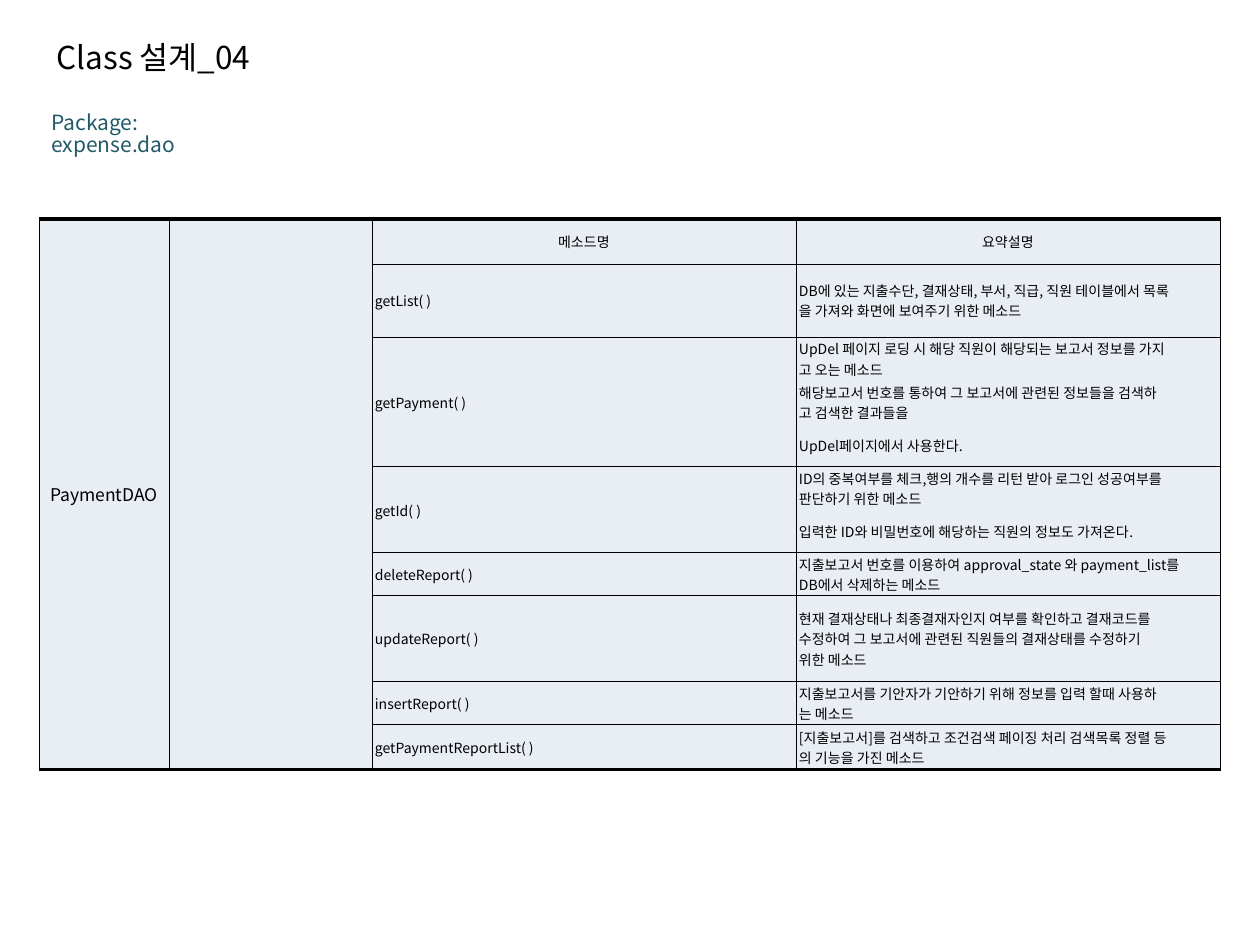
from lxml.etree import SubElement
from pptx import Presentation
from pptx.dml.color import RGBColor
from pptx.enum.text import MSO_ANCHOR, MSO_AUTO_SIZE, PP_ALIGN
from pptx.oxml.ns import qn
from pptx.util import Pt

PX = 914400 // 126
FONT = "Noto Sans CJK KR"
BLACK = RGBColor(0x00, 0x00, 0x00)
TEAL = RGBColor(0x21, 0x59, 0x68)
PALE = RGBColor(0xE9, 0xED, 0xF4)
THIN, THICK = 0.5, 2

HEADING = "Class 설계_04"
PACKAGE = "Package: expense.dao"
CLASS_NAME = "PaymentDAO"
COLUMN_WIDTHS = [130, 203, 424, 424]
METHODS = [
    ("메소드명", [(45, ["요약설명"])]),
    ("getList( )", [
        (73, ["DB에 있는 지출수단, 결재상태, 부서, 직급, 직원 테이블에서 목록",
              "을 가져와 화면에 보여주기 위한 메소드"])]),
    ("getPayment( )", [
        (44, ["UpDel 페이지 로딩 시 해당 직원이 해당되는 보고서 정보를 가지",
              "고 오는 메소드"]),
        (43, ["해당보고서 번호를 통하여 그 보고서에 관련된 정보들을 검색하",
              "고 검색한 결과들을"]),
        (43, ["UpDel페이지에서 사용한다."])]),
    ("getId( )", [
        (43, ["ID의 중복여부를 체크,행의 개수를 리턴 받아 로그인 성공여부를",
              "판단하기 위한 메소드"]),
        (43, ["입력한 ID와 비밀번호에 해당하는 직원의 정보도 가져온다."])]),
    ("deleteReport( )", [
        (43, ["지출보고서 번호를 이용하여 approval_state 와 payment_list를",
              "DB에서 삭제하는 메소드"])]),
    ("updateReport( )", [
        (86, ["현재 결재상태나 최종결재자인지 여부를 확인하고 결재코드를",
              "수정하여 그 보고서에 관련된 직원들의 결재상태를 수정하기",
              "위한 메소드"])]),
    ("insertReport( )", [
        (43, ["지출보고서를 기안자가 기안하기 위해 정보를 입력 할때 사용하",
              "는 메소드"])]),
    ("getPaymentReportList( )", [
        (45, ["[지출보고서]를 검색하고 조건검색 페이징 처리 검색목록 정렬 등",
              "의 기능을 가진 메소드"])]),
]


def write(frame, lines, size, color=BLACK, align=PP_ALIGN.LEFT, spacing=1.0):
    frame.word_wrap = True
    for index, line in enumerate(lines):
        paragraph = frame.paragraphs[0] if index == 0 else frame.add_paragraph()
        paragraph.alignment = align
        paragraph.line_spacing = spacing
        run = paragraph.add_run()
        run.text = line
        run.font.size = Pt(size)
        run.font.name = FONT
        run.font.color.rgb = color
        SubElement(run.font._element, qn("a:ea"), typeface=FONT)


def place(shape, left, top, width, height):
    shape.left, shape.top = left * PX, top * PX
    shape.width, shape.height = width * PX, height * PX
    shape.text_frame.vertical_anchor = MSO_ANCHOR.TOP
    shape.text_frame.auto_size = MSO_AUTO_SIZE.SHAPE_TO_FIT_TEXT


def style_cell(cell, top, bottom, indent):
    cell.margin_left = indent * PX
    cell.margin_right = cell.margin_top = cell.margin_bottom = 0
    cell.vertical_anchor = MSO_ANCHOR.MIDDLE
    properties = cell._tc.get_or_add_tcPr()
    for side, width in (("L", THIN), ("R", THIN), ("T", top), ("B", bottom)):
        edge = SubElement(properties, qn(f"a:ln{side}"), w=str(Pt(width)))
        if width:
            fill = SubElement(edge, qn("a:solidFill"))
            SubElement(fill, qn("a:srgbClr"), val=str(BLACK))
        else:
            SubElement(edge, qn("a:noFill"))
    cell.fill.solid()
    cell.fill.fore_color.rgb = PALE


def style_group(table, column, first, last, indent=0, merged=True):
    final = len(table.rows) - 1
    upper = THICK if first == 0 else THIN
    lower = THICK if last == final else THIN
    for row in range(first, last + 1):
        closes = row == last or (merged and row == first)
        style_cell(table.cell(row, column), upper if row == first else 0,
                   lower if closes else 0, indent)
    if merged and last > first:
        table.cell(first, column).merge(table.cell(last, column))


def build_table(slide):
    heights = [height for _, parts in METHODS for height, _ in parts]
    table = slide.shapes.add_table(
        len(heights), len(COLUMN_WIDTHS), 39 * PX, 219 * PX,
        sum(COLUMN_WIDTHS) * PX, sum(heights) * PX).table
    table.first_row = table.horz_banding = False
    for column, width in zip(table.columns, COLUMN_WIDTHS):
        column.width = width * PX
    for row, height in zip(table.rows, heights):
        row.height = height * PX

    for column in (0, 1):
        style_group(table, column, 0, len(heights) - 1)
    write(table.cell(0, 0).text_frame, [CLASS_NAME], 10, align=PP_ALIGN.CENTER)

    first = 0
    for method, parts in METHODS:
        last = first + len(parts) - 1
        indent, align = (3, PP_ALIGN.LEFT) if first else (0, PP_ALIGN.CENTER)
        style_group(table, 2, first, last, indent)
        style_group(table, 3, first, last, indent, merged=False)
        write(table.cell(first, 2).text_frame, [method], 8, align=align)
        for row, (_, summary) in enumerate(parts, first):
            write(table.cell(row, 3).text_frame, summary, 8, align=align)
        first = last + 1


def main():
    deck = Presentation()
    deck.slide_width, deck.slide_height = 1260 * PX, 945 * PX
    slide = deck.slides.add_slide(deck.slide_layouts[5])

    heading = slide.shapes.title
    write(heading.text_frame, [HEADING], 18, spacing=0.86)
    place(heading, 44, 37, 486, 50)

    package = slide.shapes.add_textbox(0, 0, PX, PX)
    write(package.text_frame, [PACKAGE], 12, color=TEAL, spacing=0.86)
    place(package, 39, 107, 232, 38)

    build_table(slide)
    deck.save("out.pptx")


if __name__ == "__main__":
    main()
